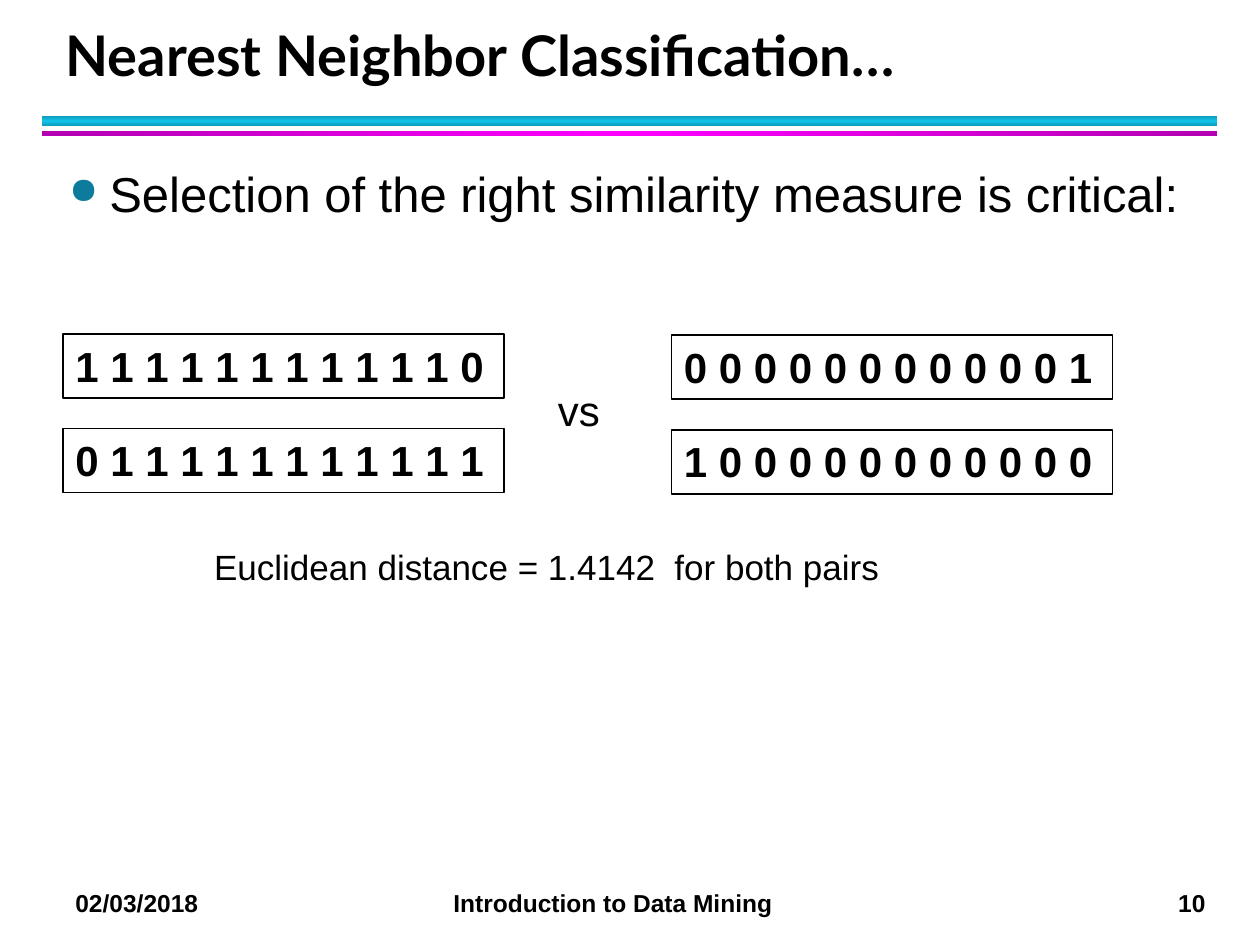
import copy
from dataclasses import dataclass

import pptx
import pptx.dml.color
import pptx.enum.shapes
import pptx.enum.text
import pptx.oxml.ns
import pptx.oxml.xmlchemy
import pptx.util
from lxml import etree

Inches = pptx.util.Inches
Pt = pptx.util.Pt
qn = pptx.oxml.ns.qn
RECT = pptx.enum.shapes.MSO_SHAPE.RECTANGLE
BLACK = "000000"


@dataclass
class Bar:
    top: float
    height: float
    edge: str
    middle: str
    angle: int


@dataclass
class VectorPair:
    left: float
    top: float
    vectors: tuple[str, str]


@dataclass
class Label:
    text: str
    left: float
    top: float
    width: float
    height: float
    size: int
    bold: bool = False


BARS = [
    Bar(0.92, 0.08, "0E9BBA", "12C2E9", 90),
    Bar(1.04, 0.04, "B200B2", "FF00FF", 0),
]
PAIRS = [
    VectorPair(0.5, 2.65, ("1 1 1 1 1 1 1 1 1 1 1 0", "0 1 1 1 1 1 1 1 1 1 1 1")),
    VectorPair(5.33, 2.66, ("0 0 0 0 0 0 0 0 0 0 0 1", "1 0 0 0 0 0 0 0 0 0 0 0")),
]
VECTOR_STEP = 0.75
BULLET = Label("Selection of the right similarity measure is critical:",
               0.45, 1.25, 9.1, 5.67, 28)
LABELS = [
    Label("vs", 4.33, 3, 0.61, 0.67, 24),
    Label("Euclidean distance = 1.4142  for both pairs", 1.6, 4.28, 6.08, 0.44, 20),
]
FOOTER = Label("02/03/2018\tIntroduction to Data Mining\t10", 0.5, 7, 9.33, 0.33, 14, True)
FOOTER_TABS = [(3.0, "l"), (8.97, "r")]


def rgb(color: str) -> pptx.dml.color.RGBColor:
    return pptx.dml.color.RGBColor.from_string(color)


def add_text(p, text: str, size: int, bold: bool = False, font: str = "Arial") -> None:
    r = p.add_run()
    r.text = text
    r.font.name = font
    r.font.size = Pt(size)
    r.font.bold = bold
    r.font.color.rgb = rgb(BLACK)


def add_bar(slide, bar: Bar) -> None:
    """Draw a rule whose gradient runs from edge to middle and back."""
    s = slide.shapes.add_shape(RECT, Inches(0.33), Inches(bar.top),
                               Inches(9.33), Inches(bar.height))
    s.shadow.inherit = False
    s.line.fill.background()
    s.fill.gradient()
    s.fill.gradient_angle = bar.angle
    stops = s._element.spPr.find(qn("a:gradFill")).find(qn("a:gsLst"))
    stops.insert(1, copy.deepcopy(stops[0]))
    colors = (bar.edge, bar.middle, bar.edge)
    for stop, position, color in zip(s.fill.gradient_stops, (0, 0.5, 1), colors):
        stop.position = position
        stop.color.rgb = rgb(color)


def add_label(slide, label: Label):
    """Add a text box and return its paragraph."""
    s = slide.shapes.add_textbox(Inches(label.left), Inches(label.top),
                                 Inches(label.width), Inches(label.height))
    s.text_frame.word_wrap = True
    p = s.text_frame.paragraphs[0]
    add_text(p, label.text, label.size, label.bold)
    return p


def add_vector(slide, text: str, left: float, top: float) -> None:
    s = slide.shapes.add_shape(RECT, Inches(left), Inches(top), Inches(3.5), Inches(0.51))
    s.shadow.inherit = False
    s.fill.background()
    s.line.color.rgb = rgb(BLACK)
    s.line.width = Pt(1)
    tf = s.text_frame
    tf.word_wrap = True
    tf.vertical_anchor = pptx.enum.text.MSO_ANCHOR.TOP
    p = tf.paragraphs[0]
    p.alignment = pptx.enum.text.PP_ALIGN.LEFT
    add_text(p, text, 24, bold=True)


def add_bullet(p, color: str, size_percent: int, indent: float) -> None:
    p_pr = p._p.get_or_add_pPr()
    p_pr.set("marL", str(Inches(indent)))
    p_pr.set("indent", str(-Inches(indent)))
    bu_clr = etree.SubElement(p_pr, qn("a:buClr"))
    etree.SubElement(bu_clr, qn("a:srgbClr"), val=color)
    etree.SubElement(p_pr, qn("a:buSzPct"), val=str(size_percent * 1000))
    etree.SubElement(p_pr, qn("a:buChar"), char="●")


def add_tabs(p, tabs: list[tuple[float, str]]) -> None:
    tab_list = etree.SubElement(p._p.get_or_add_pPr(), qn("a:tabLst"))
    for position, align in tabs:
        etree.SubElement(tab_list, qn("a:tab"), pos=str(Inches(position)), algn=align)


def set_title(slide, text: str) -> None:
    s = slide.shapes.title
    s.left, s.top, s.width, s.height = map(Inches, (0.42, 0.17, 9.06, 0.58))
    tf = s.text_frame
    tf.auto_size = pptx.enum.text.MSO_AUTO_SIZE.NONE
    tf.vertical_anchor = pptx.enum.text.MSO_ANCHOR.BOTTOM
    p = tf.paragraphs[0]
    p.alignment = pptx.enum.text.PP_ALIGN.LEFT
    p.line_spacing = Pt(36)
    add_text(p, text, 32, bold=True, font="Lato")


def main() -> None:
    prs = pptx.Presentation()
    prs.slide_width, prs.slide_height = Inches(10), Inches(7.5)
    slide = prs.slides.add_slide(prs.slide_layouts[5])
    set_title(slide, "Nearest Neighbor Classification…")
    for bar in BARS:
        add_bar(slide, bar)
    add_tabs(add_label(slide, FOOTER), FOOTER_TABS)
    p = add_label(slide, BULLET)
    p.space_before, p.space_after = Pt(3), Pt(4)
    add_bullet(p, "0C7B9C", 75, 0.32)
    for pair in PAIRS:
        for row, text in enumerate(pair.vectors):
            add_vector(slide, text, pair.left, pair.top + row * VECTOR_STEP)
    for label in LABELS:
        add_label(slide, label)
    prs.save("out.pptx")


if __name__ == "__main__":
    main()
